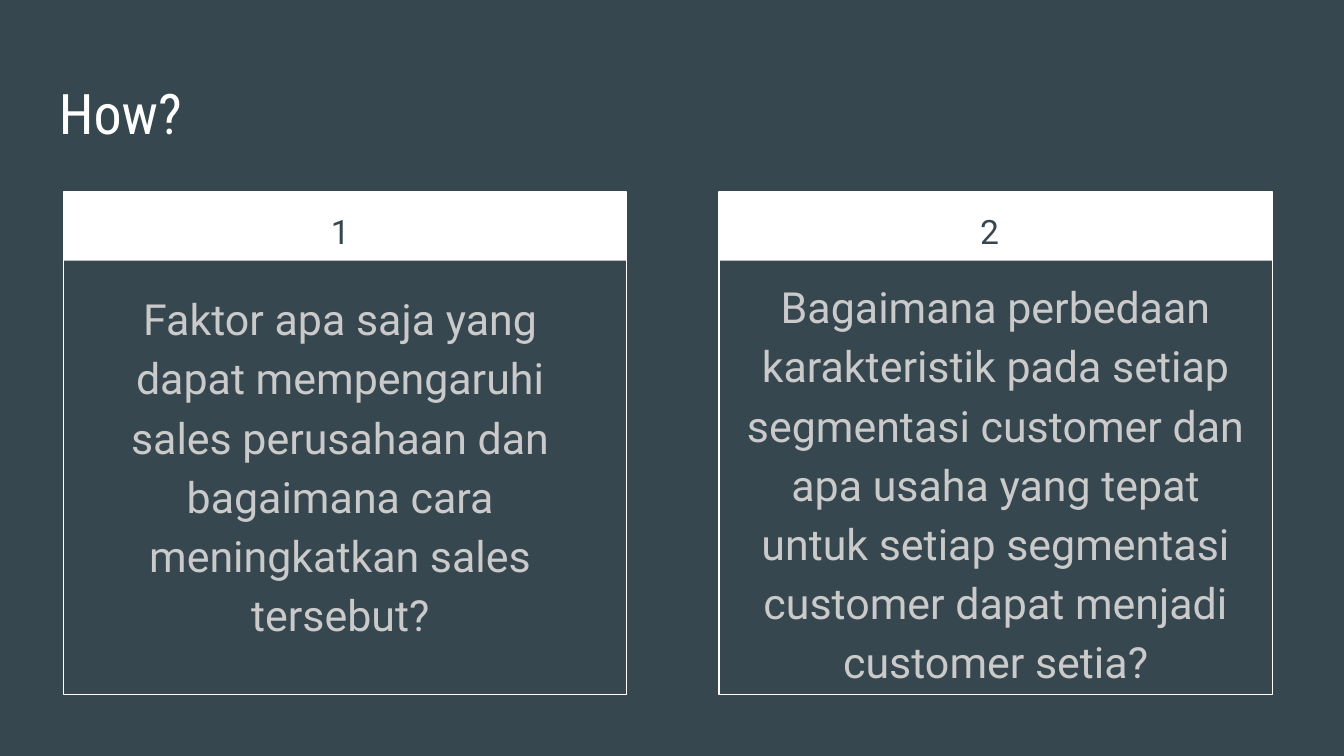
from collections import namedtuple

from pptx import Presentation, util as u
from pptx.dml.color import RGBColor
from pptx.enum import shapes, text

Box = namedtuple("Box", "left top width height")

COLUMNS, ROWS = 100, 56.25
CELL = u.Inches(0.1)
SLATE, WHITE, GREY = "37474F", "FFFFFF", "CACACA"
CARD_TOP, CARD_HEIGHT, HEADER_HEIGHT = 14.3, 37.4, 5.1


def color(value):
    return RGBColor.from_string(value)


def place(box):
    return [round(length * CELL) for length in box]


def add_text(page, box, words, size, font, ink, align=text.PP_ALIGN.LEFT, spacing=1, after=0):
    frame = page.shapes.add_textbox(*place(box)).text_frame
    frame.word_wrap = True
    frame.vertical_anchor = text.MSO_ANCHOR.TOP
    frame.margin_left = frame.margin_right = u.Inches(0.1)
    frame.margin_top = frame.margin_bottom = u.Inches(0.1)
    frame.text = words
    para = frame.paragraphs[0]
    para.alignment = align
    para.line_spacing = spacing
    para.space_after = u.Pt(after)
    span = para.runs[0]
    span.font.size = u.Pt(size)
    span.font.name = font
    span.font.color.rgb = color(ink)


def add_rectangle(group, box):
    rectangle = group.shapes.add_shape(shapes.MSO_SHAPE.RECTANGLE, *place(box))
    rectangle.shadow.inherit = False
    return rectangle


def add_title(page, box, words):
    add_text(page, box, words, 30, "Roboto Condensed", WHITE)


def add_card(page, box, number, number_box, question, question_box):
    group = page.shapes.add_group_shape()
    header = add_rectangle(group, box._replace(height=HEADER_HEIGHT))
    header.fill.solid()
    header.fill.fore_color.rgb = color(WHITE)
    header.line.fill.background()
    outline = add_rectangle(group, box)
    outline.fill.background()
    outline.line.color.rgb = color(WHITE)
    outline.line.width = u.Pt(0.75)

    for words, inner, size, ink, after in (
        (number, number_box, 18, SLATE, 0),
        (question, question_box, 23, GREY, 16),
    ):
        inside = inner._replace(left=box.left + inner.left, top=box.top + inner.top)
        add_text(page, inside, words, size, "Roboto", ink, text.PP_ALIGN.CENTER, 1.15, after)


def main():
    deck = Presentation()
    deck.slide_width = round(COLUMNS * CELL)
    deck.slide_height = round(ROWS * CELL)
    page = deck.slides.add_slide(deck.slide_layouts[6])
    page.background.fill.solid()
    page.background.fill.fore_color.rgb = color(SLATE)

    add_title(page, Box(3.4, 4.85, 93.2, 6.3), "How?")
    add_card(
        page,
        Box(4.73, CARD_TOP, 41.9, CARD_HEIGHT),
        "1",
        Box(1, -0.05, 39.2, 5),
        "Faktor apa saja yang dapat mempengaruhi sales perusahaan dan "
        "bagaimana cara meningkatkan sales tersebut?",
        Box(1, 5.93, 39.2, 30.6),
    )
    add_card(
        page,
        Box(53.5, CARD_TOP, 41.2, CARD_HEIGHT),
        "2",
        Box(1.23, -0.05, 37.8, 5),
        "Bagaimana perbedaan karakteristik pada setiap segmentasi customer dan "
        "apa usaha yang tepat untuk setiap segmentasi customer dapat menjadi "
        "customer setia?",
        Box(1, 5.03, 39.2, 32.3),
    )
    deck.save("out.pptx")


if __name__ == "__main__":
    main()
